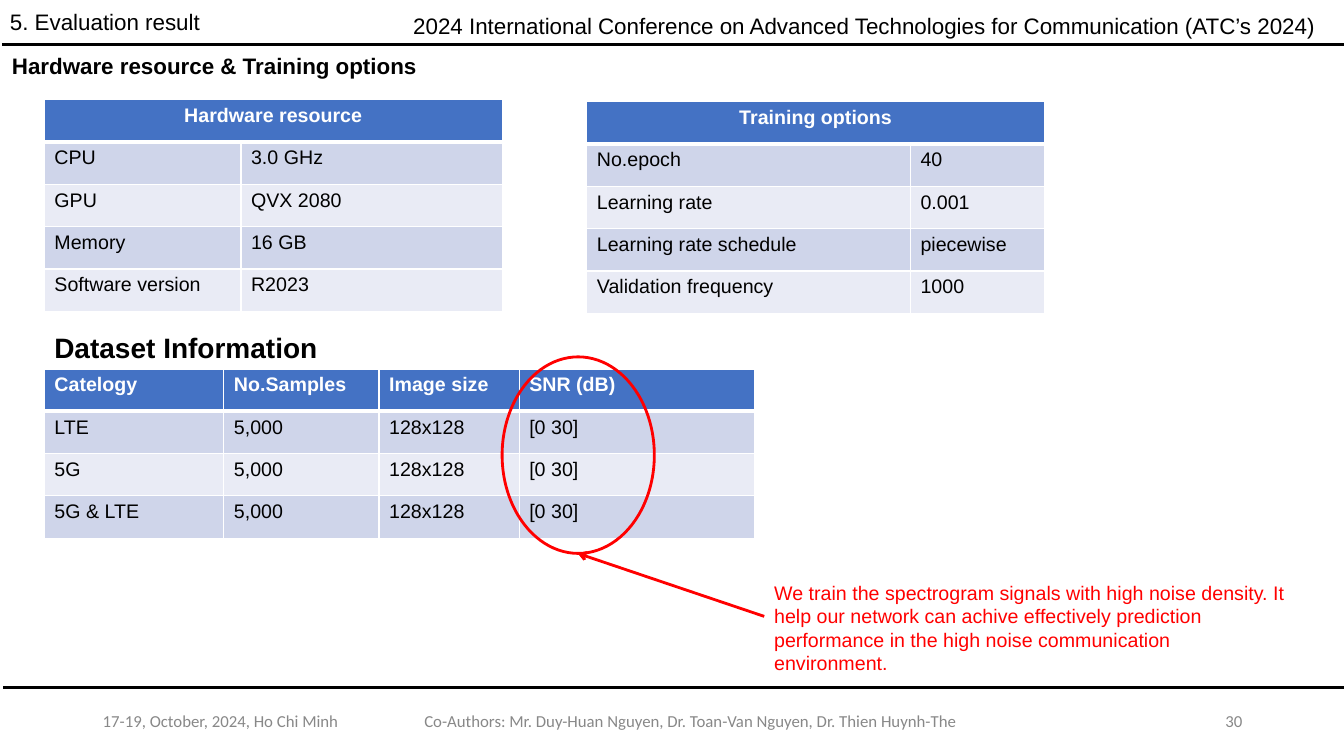
from lxml import etree
from pptx import Presentation
from pptx.dml.color import RGBColor
from pptx.enum.shapes import MSO_CONNECTOR, MSO_SHAPE
from pptx.enum.text import MSO_ANCHOR, PP_ALIGN
from pptx.oxml.ns import qn
from pptx.util import Inches, Pt

STRAIGHT = MSO_CONNECTOR.STRAIGHT
OVAL = MSO_SHAPE.OVAL
TOP, MIDDLE = MSO_ANCHOR.TOP, MSO_ANCHOR.MIDDLE
LEFT, CENTER, RIGHT = PP_ALIGN.LEFT, PP_ALIGN.CENTER, PP_ALIGN.RIGHT

BLACK, WHITE, RED, GRAY = "000000", "FFFFFF", "FF0000", "888888"
HEADER_FILL = "4472C4"
BAND_FILLS = ("E9EBF5", "CFD5EA")
ROW_HEIGHT = 0.42

HARDWARE = [
    ["Hardware resource"],
    ["CPU", "3.0 GHz"],
    ["GPU", "QVX 2080"],
    ["Memory", "16 GB"],
    ["Software version", "R2023"],
]
TRAINING = [
    ["Training options"],
    ["No.epoch", "40"],
    ["Learning rate", "0.001"],
    ["Learning rate schedule", "piecewise"],
    ["Validation frequency", "1000"],
]
DATASET = [["Catelogy", "No.Samples", "Image size", "SNR (dB)"]] + [
    [category, "5,000", "128x128", "[0 30]"] for category in ("LTE", "5G", "5G & LTE")
]


def color(hex_string):
    """Return the colour for a hex string."""
    return RGBColor.from_string(hex_string)


def style_paragraph(paragraph, size, font_color, bold=False, align=LEFT, name="Arial"):
    """Set alignment and font of a paragraph."""
    paragraph.alignment = align
    font = paragraph.font
    font.name, font.size, font.bold = name, Pt(size), bold
    font.color.rgb = color(font_color)


def add_text(slide, text, box, size, font_color=BLACK, anchor=TOP, **style):
    """Add a wrapped one-paragraph text box."""
    shape = slide.shapes.add_textbox(*map(Inches, box))
    frame = shape.text_frame
    frame.word_wrap = True
    frame.vertical_anchor = anchor
    frame.text = text
    style_paragraph(frame.paragraphs[0], size, font_color, **style)
    return shape


def add_footer(slide, text, left, width, align):
    """Add one gray footer text."""
    add_text(slide, text, (left, 6.95, width, 0.4), 12, GRAY, MIDDLE,
             align=align, name="Calibri")


def add_line(slide, start, end, line_color=BLACK):
    """Add a straight line without shadow."""
    points = map(Inches, (*start, *end))
    line = slide.shapes.add_connector(STRAIGHT, *points)
    line.line.color.rgb = color(line_color)
    line.line.width = Pt(2)
    etree.SubElement(line._element.spPr, qn("a:effectLst"))
    return line


def add_arrowhead(line):
    """Put an arrowhead at the end of a line."""
    etree.SubElement(line.line._get_or_add_ln(), qn("a:tailEnd"), type="arrow")


def set_borders(cell, top, bottom):
    """Give a cell white borders of the given top and bottom widths."""
    properties = cell._tc.get_or_add_tcPr()
    for side, width in (("L", 1), ("R", 1), ("T", top), ("B", bottom)):
        border = etree.SubElement(properties, qn(f"a:ln{side}"), w=str(Pt(width)))
        fill = etree.SubElement(border, qn("a:solidFill"))
        etree.SubElement(fill, qn("a:srgbClr"), val=WHITE)


def add_table(slide, rows, left, top, widths):
    """Add a banded table; a lone header text spans all columns."""
    frame = slide.shapes.add_table(
        len(rows), len(widths), Inches(left), Inches(top),
        Inches(sum(widths)), Inches(ROW_HEIGHT * len(rows)))
    table = frame.table
    for column, width in zip(table.columns, widths):
        column.width = Inches(width)
    spans = len(rows[0]) == 1
    for row_index, texts in enumerate(rows):
        table.rows[row_index].height = Inches(ROW_HEIGHT)
        header = row_index == 0
        for column_index in range(len(widths)):
            cell = table.cell(row_index, column_index)
            set_borders(cell, 3 if row_index == 1 else 1, 3 if header else 1)
            cell.fill.solid()
            cell.fill.fore_color.rgb = color(
                HEADER_FILL if header else BAND_FILLS[row_index % 2])
            if column_index < len(texts):
                cell.text = texts[column_index]
            style_paragraph(cell.text_frame.paragraphs[0], 14,
                            WHITE if header else BLACK, bold=header,
                            align=CENTER if header and spans else LEFT)
    if spans:
        table.cell(0, 0).merge(table.cell(0, len(widths) - 1))


def add_highlight(slide, box):
    """Add an unfilled red ellipse."""
    ellipse = slide.shapes.add_shape(OVAL, *map(Inches, box))
    ellipse.shadow.inherit = False
    ellipse.fill.background()
    ellipse.line.color.rgb = color(RED)
    ellipse.line.width = Pt(2)


def main():
    """Build the evaluation slide and save it."""
    presentation = Presentation()
    presentation.slide_width, presentation.slide_height = Inches(13.33), Inches(7.5)
    slide = presentation.slides.add_slide(presentation.slide_layouts[6])

    add_line(slide, (0.02, 0.44), (13.33, 0.44))
    add_text(slide, "2024 International Conference on Advanced Technologies for "
             "Communication (ATC’s 2024)", (4, 0.07, 9.33, 0.37), 16)
    add_line(slide, (0.03, 6.82), (13.33, 6.82))
    add_footer(slide, "17-19, October, 2024, Ho Chi Minh", 0.92, 3, LEFT)
    add_footer(slide, "30", 9.42, 3, RIGHT)
    add_footer(slide, "Co-Authors: Mr. Duy-Huan Nguyen, Dr. Toan-Van Nguyen, "
               "Dr. Thien Huynh-The", 3.92, 5.86, CENTER)
    add_text(slide, "5. Evaluation result", (0, 0.03, 2.68, 0.37), 16)
    add_text(slide, "Hardware resource & Training options",
             (0.02, 0.47, 5.2, 0.37), 16, bold=True)

    add_table(slide, HARDWARE, 0.44, 0.99, (1.95, 2.59))
    add_table(slide, TRAINING, 5.82, 1.01, (3.21, 1.33))
    add_table(slide, DATASET, 0.44, 3.66, (1.78, 1.54, 1.39, 2.33))

    add_highlight(slide, (4.98, 3.54, 1.51, 1.95))
    note = add_text(slide, "We train the spectrogram signals with high noise density. "
                    "It help our network can achive effectively prediction performance "
                    "in the high noise communication environment.",
                    (7.58, 5.71, 5.27, 0.81), 14, RED)
    arrow = add_line(slide, (7.58, 6.11), (5.73, 5.49), RED)
    arrow.begin_connect(note, 1)
    add_arrowhead(arrow)
    add_text(slide, "Dataset Information", (0.44, 3.23, 2.84, 0.44), 20, bold=True)

    presentation.save("out.pptx")


if __name__ == "__main__":
    main()
